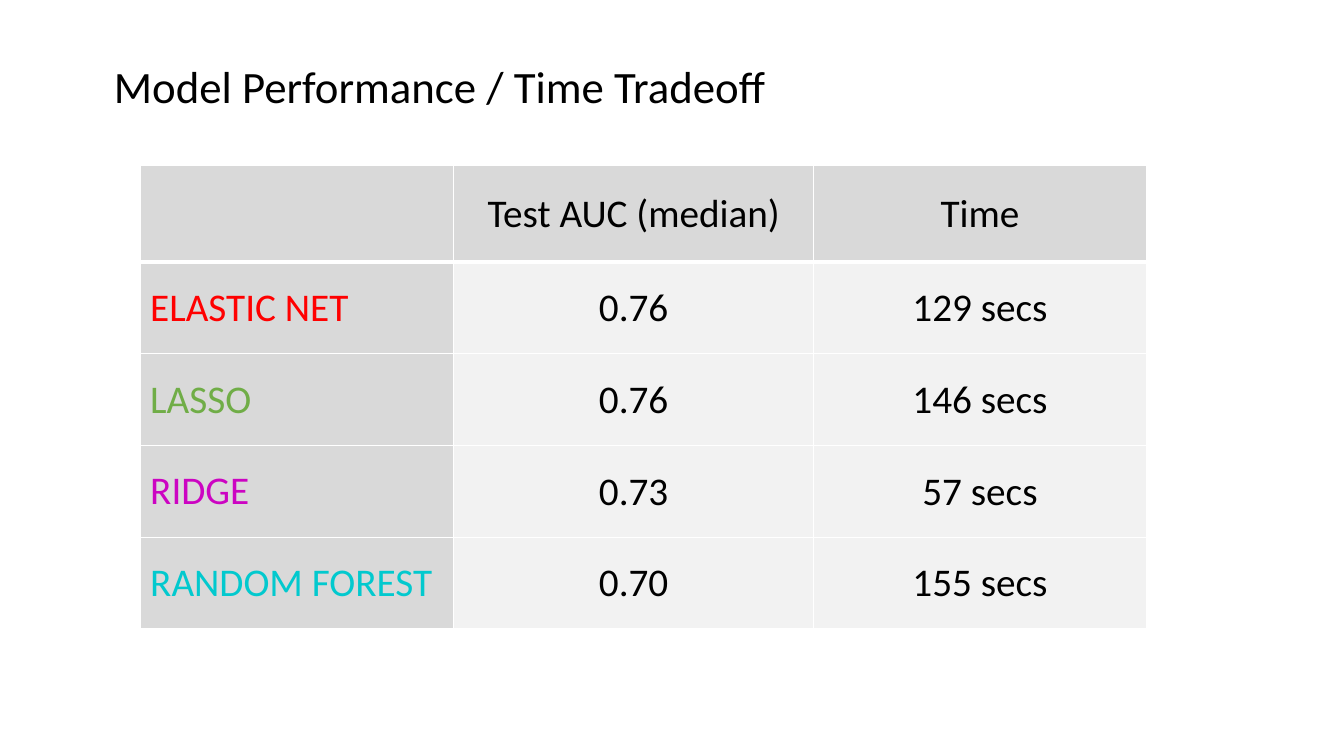
from lxml import etree
from pptx import Presentation
from pptx.dml.color import RGBColor
from pptx.enum.text import MSO_ANCHOR, PP_ALIGN
from pptx.oxml.ns import qn
from pptx.util import Inches, Pt

LEFT, CENTER = PP_ALIGN.LEFT, PP_ALIGN.CENTER
MIDDLE, BOTTOM = MSO_ANCHOR.MIDDLE, MSO_ANCHOR.BOTTOM
BLACK, WHITE = "000000", "FFFFFF"
HEADING_FILL, VALUE_FILL = "D9D9D9", "F2F2F2"
COLUMN_WIDTHS = [3.11, 3.57, 3.3]
ROW_HEIGHTS = [0.96] + [0.91] * 4
RESULTS = [
    ["", "Test AUC (median)", "Time"],
    ["ELASTIC NET", "0.76", "129 secs"],
    ["LASSO", "0.76", "146 secs"],
    ["RIDGE", "0.73", "57 secs"],
    ["RANDOM FOREST", "0.70", "155 secs"],
]
MODEL_COLORS = [BLACK, "FF0000", "70AD47", "CC04C2", "02C9CE"]


def color(value):
    """Turn a hex string into a colour."""
    return RGBColor.from_string(value)


def write_text(frame, text, size, font_color, align):
    """Fill a text frame with one formatted paragraph."""
    frame.text = text
    para = frame.paragraphs[0]
    para.alignment = align
    for font in [para.font] + [span.font for span in para.runs]:
        font.name = "Calibri"
        font.size = Pt(size)
        font.bold = False
        font.color.rgb = color(font_color)


def add_title(page, text):
    """Place and format the title, dropping the unused subtitle."""
    title = page.shapes.title
    title.left, title.top = Inches(1.03), Inches(0.45)
    title.width, title.height = Inches(8.88), Inches(0.72)
    frame = title.text_frame
    frame.word_wrap = True
    frame.vertical_anchor = BOTTOM
    write_text(frame, text, 32, BLACK, LEFT)
    frame.paragraphs[0].line_spacing = 0.9
    subtitle = page.placeholders[1].element
    subtitle.getparent().remove(subtitle)


def set_borders(cell, top, bottom):
    """Draw white cell borders, with top and bottom widths in points."""
    properties = cell._tc.get_or_add_tcPr()
    sides = [("lnL", 1), ("lnR", 1), ("lnT", top), ("lnB", bottom)]
    for position, (side, width) in enumerate(sides):
        line = etree.Element(qn(f"a:{side}"), w=str(Pt(width)))
        fill = etree.SubElement(line, qn("a:solidFill"))
        etree.SubElement(fill, qn("a:srgbClr"), val=WHITE)
        properties.insert(position, line)


def format_cell(cell, text, row, column):
    """Write and style one cell according to its place in the table."""
    is_value = row > 0 and column > 0
    font_color = MODEL_COLORS[row] if column == 0 else BLACK
    write_text(cell.text_frame, text, 28, font_color, CENTER if column else LEFT)
    cell.vertical_anchor = MIDDLE
    cell.fill.solid()
    cell.fill.fore_color.rgb = color(VALUE_FILL if is_value else HEADING_FILL)
    if is_value:
        cell.margin_left = cell.margin_right = cell.margin_top = Inches(0.01)
        cell.margin_bottom = 0
    set_borders(cell, 3 if row == 1 else 1, 3 if row == 0 else 1)


def add_results_table(page):
    """Add the table of model results."""
    table = page.shapes.add_table(
        len(ROW_HEIGHTS), len(COLUMN_WIDTHS), Inches(1.39), Inches(1.64),
        Inches(sum(COLUMN_WIDTHS)), Inches(sum(ROW_HEIGHTS))).table
    table.first_col = True
    for column, width in zip(table.columns, COLUMN_WIDTHS):
        column.width = Inches(width)
    for row, height in zip(table.rows, ROW_HEIGHTS):
        row.height = Inches(height)
    for row, texts in enumerate(RESULTS):
        for column, text in enumerate(texts):
            format_cell(table.cell(row, column), text, row, column)


def main():
    """Build and save the slide."""
    deck = Presentation()
    deck.slide_width, deck.slide_height = Inches(13.33), Inches(7.5)
    page = deck.slides.add_slide(deck.slide_layouts[0])
    add_title(page, "Model Performance / Time Tradeoff")
    add_results_table(page)
    deck.save("out.pptx")


if __name__ == "__main__":
    main()
